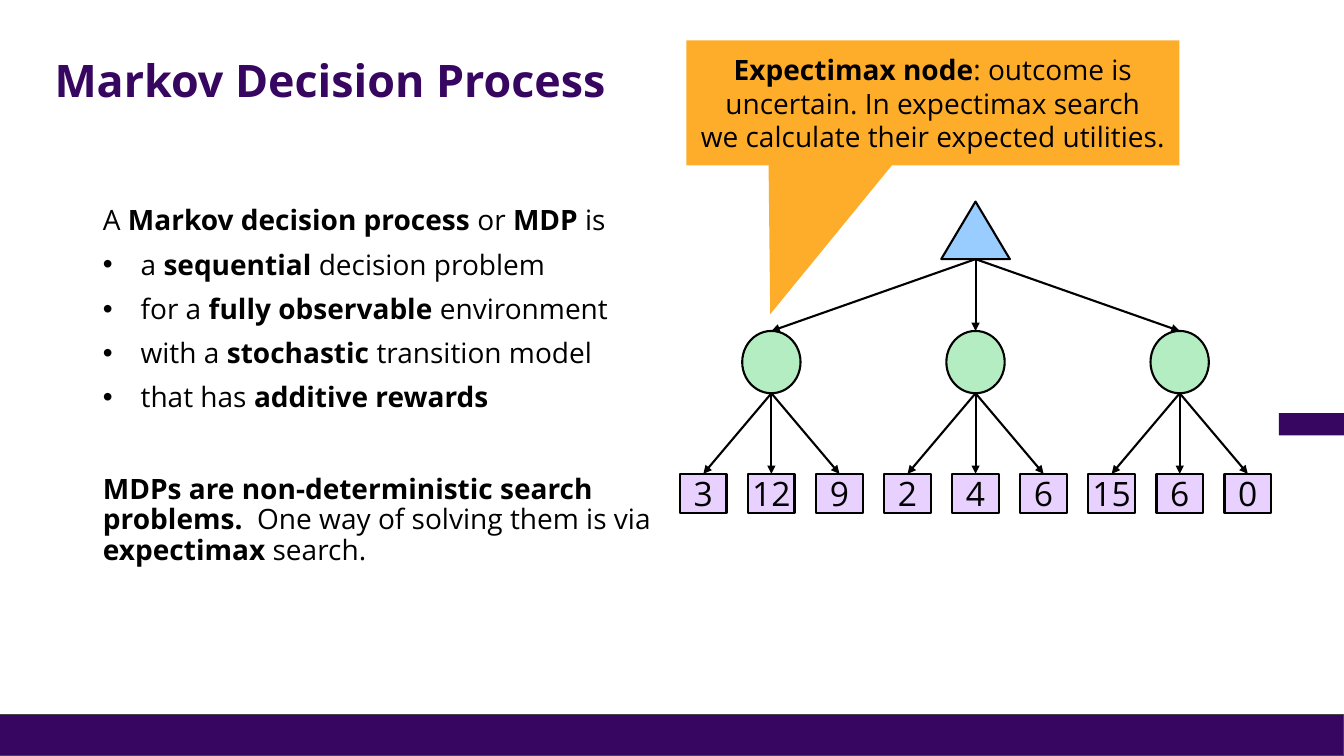
import pptx
import pptx.util
import pptx.dml.color
import pptx.enum.shapes
import pptx.enum.text
import pptx.oxml
import pptx.oxml.ns

Cm = pptx.util.Cm
Pt = pptx.util.Pt
SHAPE = pptx.enum.shapes.MSO_SHAPE
ALIGN = pptx.enum.text.PP_ALIGN
ANCHOR = pptx.enum.text.MSO_ANCHOR
FONT = "Open Sans"
PURPLE, BLACK = "370661", "000000"


def rgb(value):
    return pptx.dml.color.RGBColor.from_string(value)


def add_xml(parent, tag, **attrs):
    el = pptx.oxml.parse_xml(f"<a:{tag} {pptx.oxml.ns.nsdecls('a')}/>")
    for name, value in attrs.items():
        el.set(name, str(value))
    parent.append(el)


def write(p, text, size, color=BLACK):
    """Fill a paragraph; parts between ** marks are bold."""
    for i, part in enumerate(text.split("**")):
        if part:
            r = p.add_run()
            r.text = part
            r.font.name = FONT
            r.font.size = Pt(size)
            r.font.bold = i % 2 == 1
            r.font.color.rgb = rgb(color)


def add_block(slide, kind, x, y, w, h, fill, line=None, width=1.5):
    sp = slide.shapes.add_shape(kind, Cm(x), Cm(y), Cm(w), Cm(h))
    sp.shadow.inherit = False
    sp.fill.solid()
    sp.fill.fore_color.rgb = rgb(fill)
    if line:
        sp.line.color.rgb = rgb(line)
        sp.line.width = Pt(width)
    else:
        sp.line.fill.background()
    return sp


def add_arrow(slide, start, node):
    """Draw an arrow from a point to the top middle of a node."""
    x, y = (Cm(v) for v in start)
    cxn = slide.shapes.add_connector(
        pptx.enum.shapes.MSO_CONNECTOR.STRAIGHT, x, y, x, y)
    cxn.end_connect(node, 0)
    cxn.line.color.rgb = rgb(BLACK)
    cxn.line.width = Pt(1.5)
    add_xml(cxn.line._get_or_add_ln(), "tailEnd", type="triangle")
    add_xml(cxn._element.spPr, "effectLst")


def place(sp, x, y, w, h):
    sp.left, sp.top, sp.width, sp.height = Cm(x), Cm(y), Cm(w), Cm(h)
    tf = sp.text_frame
    tf.auto_size = pptx.enum.text.MSO_AUTO_SIZE.NONE
    tf.word_wrap = True
    return tf


def add_title(slide, x, y, w, h):
    tf = place(slide.shapes.title, x, y, w, h)
    tf.vertical_anchor = ANCHOR.MIDDLE
    p = tf.paragraphs[0]
    p.alignment = ALIGN.LEFT
    p.line_spacing = 0.9
    write(p, "**Markov Decision Process**", 32, "370660")


def add_definition(slide, x, y, w, h):
    tf = place(slide.placeholders[1], x, y, w, h)
    tf.vertical_anchor = ANCHOR.TOP
    # text, bulleted, space before
    lines = [
        ("A **Markov decision process **or **MDP **is", False, 0),
        ("a **sequential **decision problem", True, 10),
        ("for a **fully observable** environment", True, 10),
        ("with a **stochastic** transition model", True, 10),
        ("that has **additive rewards**", True, 10),
        ("**MDPs are non-deterministic search problems.  **One way of "
         "solving them is via **expectimax** search.", False, 44),
    ]
    for i, (text, bulleted, before) in enumerate(lines):
        p = tf.add_paragraph() if i else tf.paragraphs[0]
        p.line_spacing = 0.9
        p.space_before = Pt(before)
        indent = Cm(0.95) if bulleted else 0
        pPr = p._p.get_or_add_pPr()
        pPr.set("marL", str(indent))
        pPr.set("indent", str(-indent))
        if bulleted:
            add_xml(pPr, "buFont", typeface="Arial")
            add_xml(pPr, "buChar", char="•")
        else:
            add_xml(pPr, "buNone")
        write(p, text, 20)


def add_leaf(slide, cx, y, value):
    w, h = 1.17, 0.99
    sp = add_block(slide, SHAPE.RECTANGLE, cx - w / 2, y, w, h, "E8D1FF", BLACK)
    tf = sp.text_frame
    tf.word_wrap = False
    tf.vertical_anchor = ANCHOR.MIDDLE
    tf.margin_left = tf.margin_right = tf.margin_top = tf.margin_bottom = 0
    p = tf.paragraphs[0]
    p.alignment = ALIGN.CENTER
    write(p, str(value), 24)
    return sp


def add_tree(slide, x, y, w, h):
    """Draw the max node, its chance nodes and their leaves in the box."""
    groups = [(3, 12, 9), (2, 4, 6), (15, 6, 0)]
    root_w, root_h, node_w, node_h = 1.73, 1.45, 1.47, 1.57
    leaf_w, leaf_h = 1.17, 0.99
    step = (w - leaf_w) / 8
    cx = x + w / 2
    node_y = y + 3.26
    add_block(slide, SHAPE.ISOSCELES_TRIANGLE, cx - root_w / 2, y,
              root_w, root_h, "99CCFF", BLACK)
    for g, values in enumerate(groups):
        node_cx = cx + (g - 1) * 3 * step
        node = add_block(slide, SHAPE.OVAL, node_cx - node_w / 2, node_y,
                         node_w, node_h, "B5EDC2", BLACK)
        add_arrow(slide, (cx, y + root_h), node)
        for i, value in enumerate(values):
            leaf = add_leaf(slide, node_cx + (i - 1) * step, y + h - leaf_h,
                            value)
            add_arrow(slide, (node_cx, node_y + node_h), leaf)


def add_callout(slide, x, y, w, h):
    sp = add_block(slide, SHAPE.ROUNDED_RECTANGULAR_CALLOUT, x, y, w, h,
                   "FEAD2B")
    for i, value in enumerate((-0.33, 1.69, 0)):
        sp.adjustments[i] = value
    tf = sp.text_frame
    tf.word_wrap = True
    tf.vertical_anchor = ANCHOR.MIDDLE
    tf.margin_left = tf.margin_right = Cm(0.25)
    tf.margin_top = tf.margin_bottom = Cm(0.25)
    lines = ["**Expectimax node**: outcome is uncertain. In expectimax search",
             "we calculate their expected utilities."]
    for i, text in enumerate(lines):
        p = tf.add_paragraph() if i else tf.paragraphs[0]
        p.alignment = ALIGN.CENTER
        write(p, text, 20)


def add_decoration(slide, w, h):
    bar_h, tab_w = 1.04, 1.64
    add_block(slide, SHAPE.RECTANGLE, 0, h - bar_h, w, bar_h, PURPLE,
              "43454B", 0.75)
    add_block(slide, SHAPE.RECTANGLE, w - tab_w, 10.41, tab_w, 0.56, PURPLE)


def main():
    prs = pptx.Presentation()
    w, h = 33.87, 19.05
    prs.slide_width, prs.slide_height = Cm(w), Cm(h)
    slide = prs.slides.add_slide(prs.slide_layouts[1])
    add_decoration(slide, w, h)
    add_title(slide, 1.12, 1.02, 30.43, 2.13)
    add_definition(slide, 2.34, 5.08, 14.4, 12.09)
    add_tree(slide, 17.14, 5.08, 14.89, 7.85)
    add_callout(slide, 17.3, 1.02, 12.42, 3.15)
    prs.save("out.pptx")


if __name__ == "__main__":
    main()
